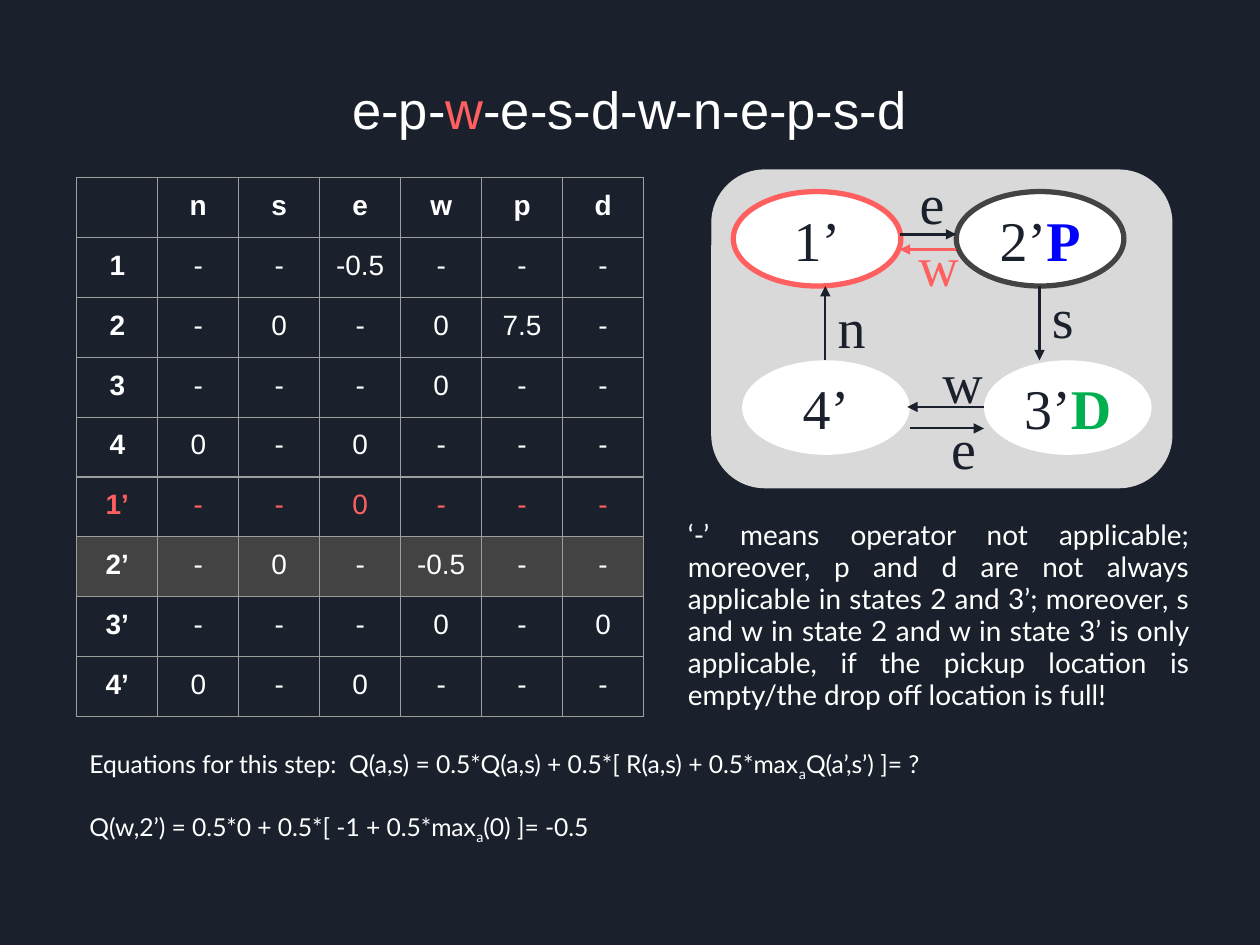
from lxml import etree
from pptx import Presentation
from pptx.dml.color import RGBColor
from pptx.enum.shapes import MSO_CONNECTOR as Link, MSO_SHAPE as Shape
from pptx.enum.text import MSO_ANCHOR as Anchor, MSO_AUTO_SIZE as Fit, PP_ALIGN as Align
from pptx.oxml import parse_xml
from pptx.oxml.ns import nsdecls, qn
from pptx.util import Inches, Pt

WHITE, DARK, RED, GRAY = "FFFFFF", "1B212C", "FF5F5F", "434343"
PALE, RULE, BLUE, GREEN = "D9D9D9", "9E9E9E", "0000FF", "00B050"
SERIF = "Times New Roman"

HEAD = ["", "n", "s", "e", "w", "p", "d"]
ROWS = [
    ["1", "-", "-", "-0.5", "-", "-", "-"],
    ["2", "-", "0", "-", "0", "7.5", "-"],
    ["3", "-", "-", "-", "0", "-", "-"],
    ["4", "0", "-", "0", "-", "-", "-"],
    ["1’", "-", "-", "0", "-", "-", "-"],
    ["2’", "-", "0", "-", "-0.5", "-", "-"],
    ["3’", "-", "-", "-", "0", "-", "0"],
    ["4’", "0", "-", "0", "-", "-", "-"],
]
NOTE = ("‘-’ means operator not applicable; moreover, p and d are not always "
        "applicable in states 2 and 3’; moreover, s and w in state 2 and w in "
        "state 3’ is only applicable, if the pickup location is empty/the drop "
        "off location is full!")
STEPS = [
    ("Equations for this step:  Q(a,s) = 0.5*Q(a,s) + 0.5*[ R(a,s) + 0.5*max",
     "a", "Q(a’,s’) ]= ?"),
    ("Q(w,2’) = 0.5*0 + 0.5*[ -1 + 0.5*max", "a", "(0) ]= -0.5"),
]


def rgb(code):
    return RGBColor.from_string(code)


def style(font, size, name, color, bold=False):
    font.size, font.name, font.bold = Pt(size), name, bold
    font.color.rgb = rgb(color)


def place(shape, box):
    shape.left, shape.top, shape.width, shape.height = map(Inches, box)


def add_run(para, text, color=None, bold=None):
    run = para.add_run()
    run.text = text
    if color:
        run.font.color.rgb = rgb(color)
    if bold:
        run.font.bold = True
    return run


def add_title(holder, box):
    place(holder, box)
    frame = holder.text_frame
    frame.auto_size, frame.vertical_anchor = Fit.NONE, Anchor.MIDDLE
    para = frame.paragraphs[0]
    para.alignment, para.line_spacing = Align.CENTER, 1.15
    style(para.font, 30, "Arial", WHITE)
    add_run(para, "e-p-")
    add_run(para, "w", RED)
    add_run(para, "-e-s-d-w-n-e-p-s-d")


def add_body(holder, box, size, paras, gap=0):
    """Fill a body with paragraphs of text, each a list whose odd parts are subscripts."""
    place(holder, box)
    frame = holder.text_frame
    frame.auto_size, frame.vertical_anchor = Fit.NONE, Anchor.TOP
    for i, parts in enumerate(paras):
        para = frame.add_paragraph() if i else frame.paragraphs[0]
        props = para._p.get_or_add_pPr()
        props.set("marL", "0")
        props.set("indent", "0")
        etree.SubElement(props, qn("a:buNone"))
        para.alignment, para.line_spacing = Align.JUSTIFY, 0.95
        para.space_before = Pt(gap if i else 0)
        style(para.font, size, "Lato", WHITE)
        for j, text in enumerate(parts):
            run = add_run(para, text)
            if j % 2:
                run._r.get_or_add_rPr().set("baseline", "-25000")


def add_border(cell):
    props = cell._tc.get_or_add_tcPr()
    for i, side in enumerate("LRTB"):
        props.insert(i, parse_xml(
            f'<a:ln{side} {nsdecls("a")} w="9525"><a:solidFill>'
            f'<a:srgbClr val="{RULE}"/></a:solidFill></a:ln{side}>'))


def add_grid(slide, box):
    rows = [HEAD] + ROWS
    table = slide.shapes.add_table(len(rows), len(HEAD), *map(Inches, box)).table
    table.first_row = table.horz_banding = False
    for col in table.columns:
        col.width = Inches(box[2] / len(HEAD))
    for r, row in enumerate(rows):
        table.rows[r].height = Inches(box[3] / len(rows))
        for c, text in enumerate(row):
            cell = table.cell(r, c)
            cell.margin_left = cell.margin_right = Inches(0.1)
            cell.margin_top = cell.margin_bottom = Inches(0.1 if text else 0)
            if row[0] == "2’":
                cell.fill.solid()
                cell.fill.fore_color.rgb = rgb(GRAY)
            else:
                cell.fill.background()
            add_border(cell)
            para = cell.text_frame.paragraphs[0]
            para.alignment = Align.CENTER
            style(para.font, 16, "Arial", RED if row[0] == "1’" else WHITE,
                  r == 0 or c == 0)
            if text:
                add_run(para, text)


def add_form(slide, kind, box, fill, line=None, width=0.75):
    form = slide.shapes.add_shape(kind, *map(Inches, box))
    form.shadow.inherit = False
    form.fill.solid()
    form.fill.fore_color.rgb = rgb(fill)
    if line:
        form.line.color.rgb = rgb(line)
        form.line.width = Pt(width)
    else:
        form.line.fill.background()
    return form


def add_state(slide, box, name, line=None, mark="", color=None):
    form = add_form(slide, Shape.OVAL, box, WHITE, line, 3)
    form.text_frame.vertical_anchor = Anchor.MIDDLE
    para = form.text_frame.paragraphs[0]
    para.alignment = Align.CENTER
    style(para.font, 32, SERIF, DARK)
    add_run(para, name)
    if mark:
        add_run(para, mark, color, True)


def add_arrow(slide, ends, color, width):
    arrow = slide.shapes.add_connector(Link.STRAIGHT, *map(Inches, ends))
    arrow.line.color.rgb = rgb(color)
    arrow.line.width = Pt(width)
    etree.SubElement(arrow.line._get_or_add_ln(), qn("a:tailEnd"), type="triangle")
    etree.SubElement(arrow._element.spPr, qn("a:effectLst"))


def add_label(slide, left, top, text, color):
    box = slide.shapes.add_textbox(*map(Inches, (left, top, 0.35, 0.64)))
    box.text_frame.word_wrap = True
    para = box.text_frame.paragraphs[0]
    style(para.font, 32, SERIF, color)
    add_run(para, text)


def add_graph(slide, box):
    x, y = box[:2]
    add_form(slide, Shape.ROUNDED_RECTANGLE, box, PALE, PALE)
    for left, top, *look in [
        (0.17, 0.17, "1’", RED),
        (1.94, 0.17, "2’", GRAY, "P", BLUE),
        (2.16, 1.51, "3’", None, "D", GREEN),
        (0.24, 1.51, "4’"),
    ]:
        add_state(slide, (x + left, y + top, 1.33, 0.75), *look)
    for x1, y1, x2, y2, color, width in [
        (1.49, 0.51, 1.94, 0.51, DARK, 1.75),
        (1.94, 0.63, 1.49, 0.63, RED, 1.25),
        (2.6, 0.92, 2.6, 1.51, DARK, 1.25),
        (2.16, 1.88, 1.55, 1.88, DARK, 1.25),
        (1.57, 2.05, 2.16, 2.05, DARK, 1.25),
        (0.9, 1.51, 0.9, 0.92, DARK, 1.25),
    ]:
        add_arrow(slide, (x + x1, y + y1, x + x2, y + y2), color, width)
    for left, top, text, color in [
        (1.55, -0.06, "e", DARK),
        (1.54, 0.43, "w", RED),
        (2.6, 0.84, "s", DARK),
        (1.73, 1.36, "w", DARK),
        (1.8, 1.88, "e", DARK),
        (0.9, 0.92, "n", DARK),
    ]:
        add_label(slide, x + left, y + top, text, color)


def main():
    deck = Presentation()
    deck.slide_width, deck.slide_height = Inches(10), Inches(7.5)
    slide = deck.slides.add_slide(deck.slide_layouts[3])
    slide.background.fill.solid()
    slide.background.fill.fore_color.rgb = rgb(DARK)
    title, note, steps = slide.placeholders
    add_title(title, (0.83, 0.2, 8.33, 1.25))
    add_body(note, (5.36, 4.08, 4.18, 1.66), 16, [[NOTE]])
    add_grid(slide, (0.61, 1.41, 4.5, 4.28))
    add_graph(slide, (5.65, 1.35, 3.65, 2.52))
    add_body(steps, (0.61, 5.89, 8.68, 1.25), 14.1, STEPS, 18)
    deck.save("out.pptx")


if __name__ == "__main__":
    main()
